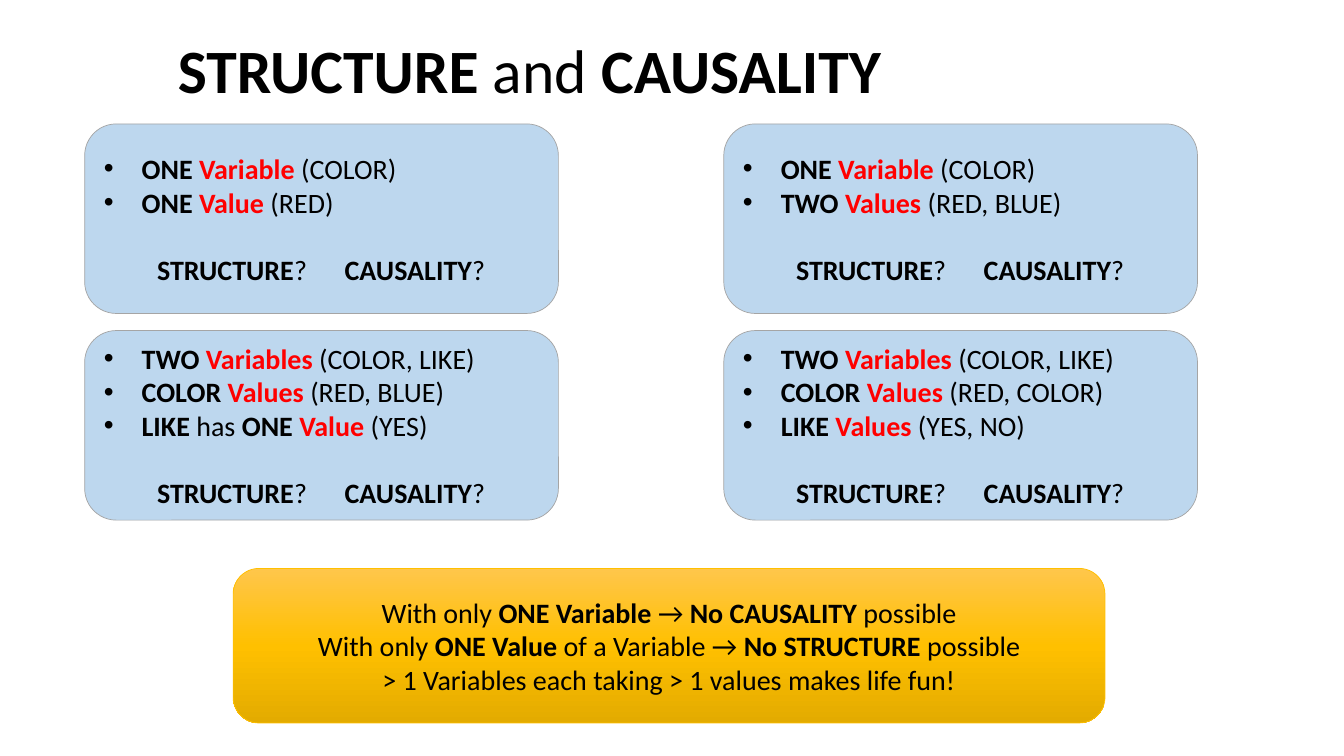
from copy import deepcopy

from pptx import Presentation
from pptx.dml.color import RGBColor
from pptx.enum.shapes import MSO_SHAPE
from pptx.enum.text import MSO_ANCHOR, PP_ALIGN
from pptx.oxml.ns import qn
from pptx.util import Pt
from lxml import etree

ROUND = MSO_SHAPE.ROUNDED_RECTANGLE
MIDDLE = MSO_ANCHOR.MIDDLE
LEFT, CENTER = PP_ALIGN.LEFT, PP_ALIGN.CENTER

BLACK = RGBColor(0x00, 0x00, 0x00)
RED = RGBColor(0xFF, 0x00, 0x00)
BLUE = RGBColor(0xBD, 0xD7, 0xEE)
GRAY = RGBColor(0xA5, 0xA5, 0xA5)
GOLD = RGBColor(0xFF, 0xC0, 0x00)
SHADES = [RGBColor(0xFF, 0xC6, 0x4B), GOLD, RGBColor(0xE3, 0xAB, 0x00)]


def write(frame, index, text, size=20, align=LEFT):
    """Fill one paragraph; runs part at "|", "*" marks bold and "!" bold red."""
    para = frame.paragraphs[0] if index == 0 else frame.add_paragraph()
    para.alignment = align
    for part in text.split("|"):
        mark = part[0] if part[0] in "*!" else ""
        run = para.add_run()
        run.text = part[len(mark):]
        run.font.name = "Calibri"
        run.font.size = Pt(size)
        run.font.bold = bool(mark)
        run.font.color.rgb = RED if mark == "!" else BLACK
    return para


def add_box(left, top, width, height, edge):
    box = slide.shapes.add_shape(ROUND, Pt(left), Pt(top), Pt(width), Pt(height))
    box.shadow.inherit = False
    box.line.color.rgb = edge
    box.line.width = Pt(0.5)
    box.text_frame.vertical_anchor = MIDDLE
    return box


deck = Presentation()
deck.slide_width, deck.slide_height = Pt(960), Pt(540)
slide = deck.slides.add_slide(deck.slide_layouts[6])

# Title
title = slide.shapes.add_textbox(Pt(120), Pt(16.5), Pt(702), Pt(72)).text_frame
title.word_wrap = True
title.vertical_anchor = MIDDLE
write(title, 0, "*STRUCTURE| and |*CAUSALITY", 44).line_spacing = 0.9

# Four cases, in two columns
cases = [
    ["*ONE |!Variable |(COLOR)", "*ONE |!Value |(RED)"],
    ["*ONE |!Variable |(COLOR)", "*TWO |!Values |(RED, BLUE)"],
    ["*TWO |!Variables |(COLOR, LIKE)", "*COLOR |!Values |(RED, BLUE)",
     "*LIKE| has |*ONE |!Value |(YES)"],
    ["*TWO |!Variables |(COLOR, LIKE)", "*COLOR |!Values |(RED, COLOR)",
     "*LIKE |!Values |(YES, NO)"],
]
for number, points in enumerate(cases):
    row, col = divmod(number, 2)
    box = add_box(60.5 + col * 456.5, 88.5 + row * 147.6, 338.4, 135.4, GRAY)
    box.fill.solid()
    box.fill.fore_color.rgb = BLUE
    frame = box.text_frame
    for index, point in enumerate(points):
        props = write(frame, index, point)._p.get_or_add_pPr()
        props.set("marL", str(Pt(27)))
        props.set("indent", str(-Pt(27)))
        etree.SubElement(props, qn("a:buFont"), typeface="Arial")
        etree.SubElement(props, qn("a:buChar"), char="•")
    query = write(frame, len(points), "*\tSTRUCTURE|?\t|*CAUSALITY|?")
    query.space_before = Pt(24)
    tabs = etree.SubElement(query._p.get_or_add_pPr(), qn("a:tabLst"))
    for stop in (38, 172):
        etree.SubElement(tabs, qn("a:tab"), pos=str(Pt(stop)), algn="l")

# Summary
summary = add_box(166.5, 406, 622.8, 110.4, GOLD)
summary.fill.gradient()
summary.fill.gradient_angle = 270
stops = summary._element.spPr.find(".//" + qn("a:gsLst"))
stops.insert(1, deepcopy(stops[0]))
for index, (stop, shade) in enumerate(zip(summary.fill.gradient_stops, SHADES)):
    stop.position = index / 2
    stop.color.rgb = shade
lines = [
    "With only |*ONE Variable |→ |*No CAUSALITY |possible",
    "With only |*ONE Value |of a Variable → |*No STRUCTURE |possible",
    "> 1 Variables each taking > 1 values makes life fun!",
]
for index, line in enumerate(lines):
    write(summary.text_frame, index, line, align=CENTER)

deck.save("out.pptx")
